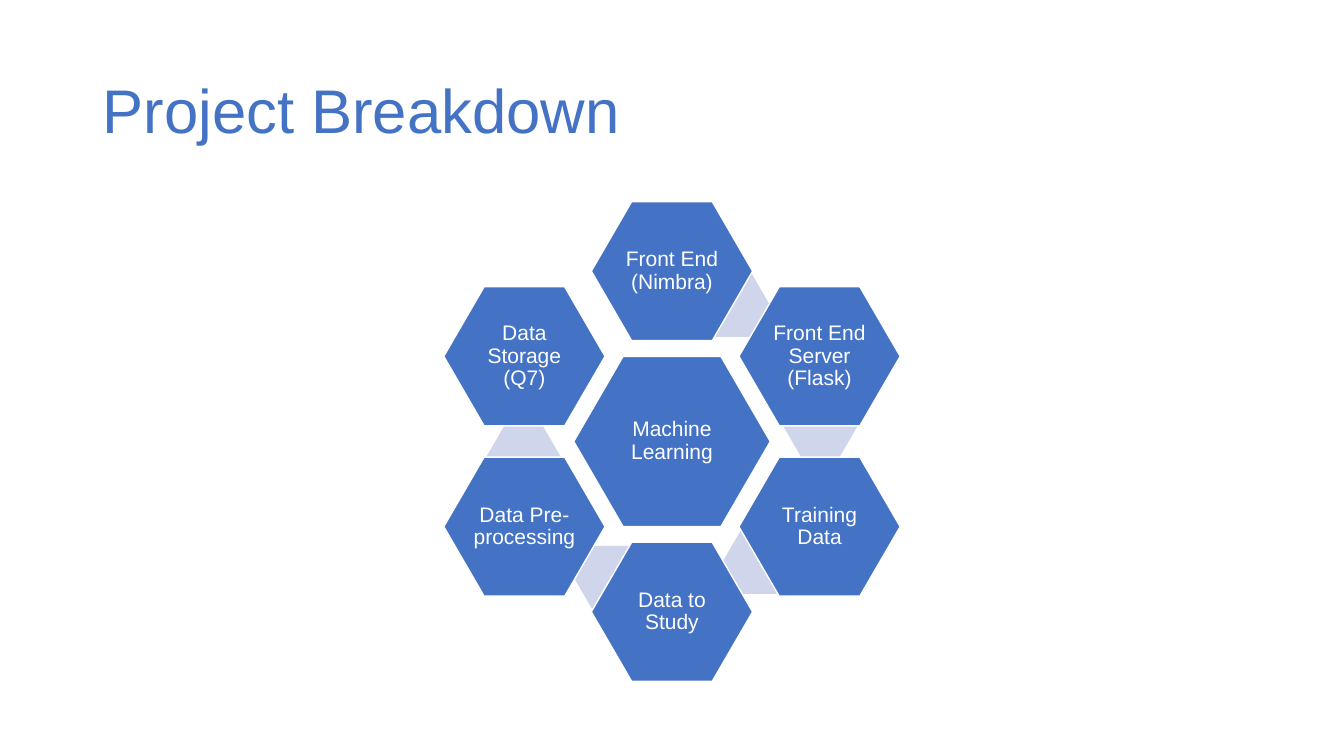
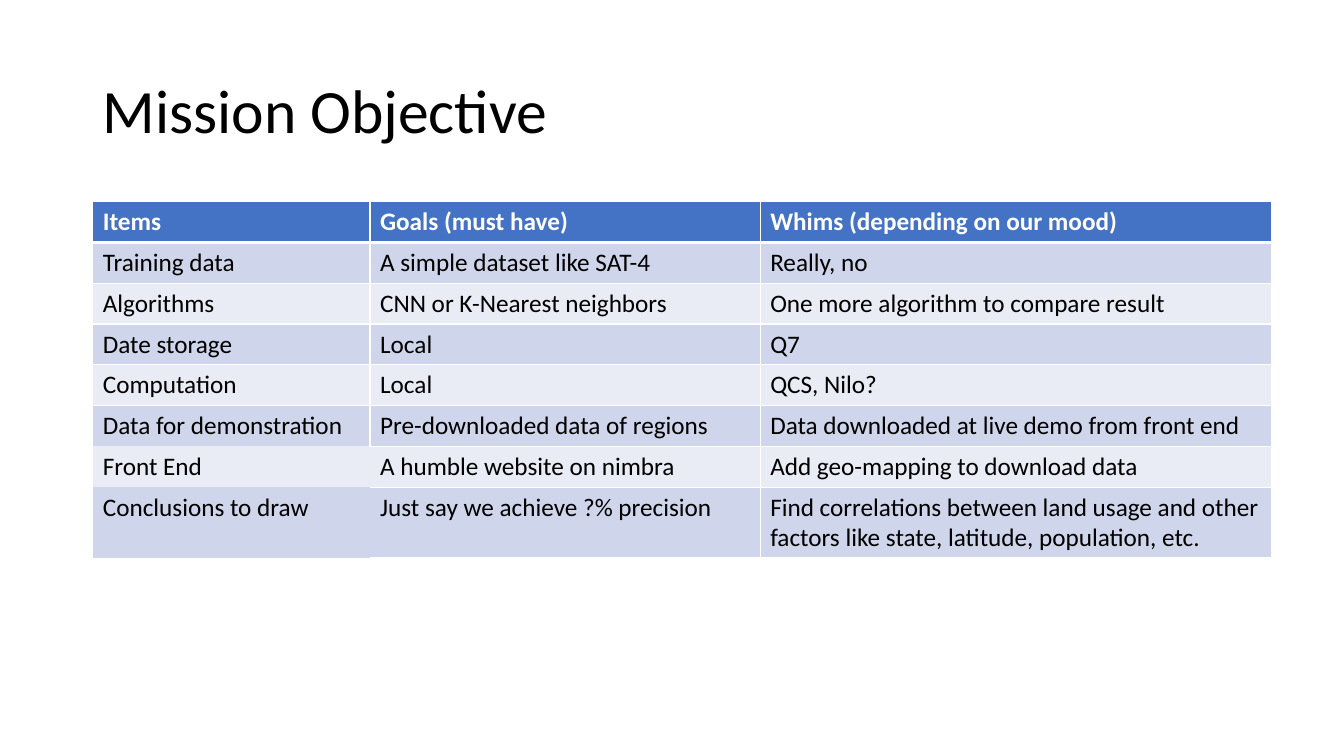
from math import cos, radians, sin

from lxml.etree import SubElement
from pptx import Presentation
from pptx.dml.color import RGBColor
from pptx.enum.shapes import MSO_SHAPE as Shape
from pptx.enum.text import MSO_ANCHOR as Anchor, PP_ALIGN as Align
from pptx.oxml.ns import qn
from pptx.util import Inches, Pt

BLUE = RGBColor(0x44, 0x72, 0xC4)
PALE_BLUE = RGBColor(0xCF, 0xD5, 0xEA)
FAINT_BLUE = RGBColor(0xE9, 0xEB, 0xF5)
WHITE = RGBColor(0xFF, 0xFF, 0xFF)
BLACK = RGBColor(0x00, 0x00, 0x00)

SLIDE_WIDTH, SLIDE_HEIGHT = 13.33, 7.5
LEFT = 0.92
CONTENT_TOP = 2

RING_CENTER = (SLIDE_WIDTH / 2, 4.38)
RING_RADIUS, LINK_RADIUS = 1.69, 1.48
RING_START, LINK_START = -90, -66
CORE_SIZE, STEP_SIZE, LINK_SIZE = (1.95, 1.69), (1.6, 1.38), (0.74, 0.63)

CORE = "Machine Learning"
STEPS = [
    "Front End (Nimbra)",
    "Front End Server (Flask)",
    "Training Data",
    "Data to Study",
    "Data Pre-processing",
    "Data Storage (Q7)",
]

COLUMN_WIDTHS = [2.75, 3.87, 5.07]
ROW_HEIGHT = 0.054 * SLIDE_HEIGHT
OBJECTIVES = [
    ("Items", "Goals (must have)", "Whims (depending on our mood)"),
    ("Training data", "A simple dataset like SAT-4", "Really, no"),
    ("Algorithms", "CNN or K-Nearest neighbors",
     "One more algorithm to compare result"),
    ("Date storage", "Local", "Q7"),
    ("Computation", "Local", "QCS, Nilo?"),
    ("Data for demonstration", "Pre-downloaded data of regions",
     "Data downloaded at live demo from front end"),
    ("Front End", "A humble website on nimbra",
     "Add geo-mapping to download data"),
    ("Conclusions to draw", "Just say we achieve ?% precision",
     "Find correlations between land usage and other factors like state, "
     "latitude, population, etc."),
]
OPEN_SIDES = {(5, 0): "B", (6, 0): "LRTB", (7, 0): "LRTB", (6, 1): "L", (7, 1): "L"}


def style_text(paragraph, text, size, font_name, color, bold=False):
    paragraph.text = text
    font = paragraph.font
    font.size, font.name, font.bold = Pt(size), font_name, bold
    font.color.rgb = color


def add_titled_slide(presentation, title, font_name, color):
    slide = presentation.slides.add_slide(presentation.slide_layouts[6])
    box = slide.shapes.add_textbox(
        Inches(LEFT), Inches(0.4), Inches(11.5), Inches(1.45))
    frame = box.text_frame
    frame.word_wrap = True
    frame.vertical_anchor = Anchor.MIDDLE
    paragraph = frame.paragraphs[0]
    paragraph.line_spacing = 0.9
    style_text(paragraph, title, 44, font_name, color)
    return slide


def ring_point(radius, start, index):
    angle = radians(start + 60 * index)
    center_x, center_y = RING_CENTER
    return center_x + radius * cos(angle), center_y + radius * sin(angle)


def add_hexagon(slide, center, size, color):
    (x, y), (width, height) = center, size
    hexagon = slide.shapes.add_shape(
        Shape.HEXAGON, Inches(x - width / 2), Inches(y - height / 2),
        Inches(width), Inches(height))
    hexagon.adjustments[0] = 0.29
    hexagon.shadow.inherit = False
    hexagon.fill.solid()
    hexagon.fill.fore_color.rgb = color
    hexagon.line.fill.background()
    return hexagon


def add_labelled_hexagon(slide, center, size, label):
    hexagon = add_hexagon(slide, center, size, BLUE)
    hexagon.line.color.rgb = WHITE
    hexagon.line.width = Pt(1)
    frame = hexagon.text_frame
    frame.word_wrap = True
    frame.vertical_anchor = Anchor.MIDDLE
    frame.margin_left = frame.margin_right = Inches(0.02)
    frame.margin_top = frame.margin_bottom = Inches(0.02)
    paragraph = frame.paragraphs[0]
    paragraph.alignment = Align.CENTER
    paragraph.line_spacing = 0.9
    style_text(paragraph, label, 15, "Arial", WHITE)


def add_hexagon_ring(slide):
    add_labelled_hexagon(slide, RING_CENTER, CORE_SIZE, CORE)
    for index, step in enumerate(STEPS):
        if index < len(STEPS) - 1:
            link_center = ring_point(LINK_RADIUS, LINK_START, index)
            add_hexagon(slide, link_center, LINK_SIZE, PALE_BLUE)
        step_center = ring_point(RING_RADIUS, RING_START, index)
        add_labelled_hexagon(slide, step_center, STEP_SIZE, step)


def set_borders(cell, open_sides, bottom_width):
    properties = cell._tc.get_or_add_tcPr()
    for side in "LRTB":
        width = Pt(bottom_width if side == "B" else 1)
        line = SubElement(properties, qn(f"a:ln{side}"), w=str(width))
        if side in open_sides:
            SubElement(line, qn("a:noFill"))
        else:
            fill = SubElement(line, qn("a:solidFill"))
            SubElement(fill, qn("a:srgbClr"), val=str(WHITE))


def style_cell(cell, text, row, column):
    is_header = row == 0
    set_borders(cell, OPEN_SIDES.get((row, column), ""), 3 if is_header else 1)
    cell.fill.solid()
    band = PALE_BLUE if row % 2 else FAINT_BLUE
    cell.fill.fore_color.rgb = BLUE if is_header else band
    style_text(cell.text_frame.paragraphs[0], text, 18, "Calibri",
               WHITE if is_header else BLACK, is_header)


def add_objectives_table(slide):
    table = slide.shapes.add_table(
        len(OBJECTIVES), len(COLUMN_WIDTHS), Inches(LEFT), Inches(CONTENT_TOP),
        Inches(sum(COLUMN_WIDTHS)), Inches(ROW_HEIGHT * len(OBJECTIVES))).table
    for column, width in zip(table.columns, COLUMN_WIDTHS):
        column.width = Inches(width)
    for row, texts in enumerate(OBJECTIVES):
        for column, text in enumerate(texts):
            style_cell(table.cell(row, column), text, row, column)


def main():
    presentation = Presentation()
    presentation.slide_width = Inches(SLIDE_WIDTH)
    presentation.slide_height = Inches(SLIDE_HEIGHT)
    add_hexagon_ring(
        add_titled_slide(presentation, "Project Breakdown", "Arial", BLUE))
    add_objectives_table(
        add_titled_slide(presentation, "Mission Objective", "Calibri", BLACK))
    presentation.save("out.pptx")


main()
